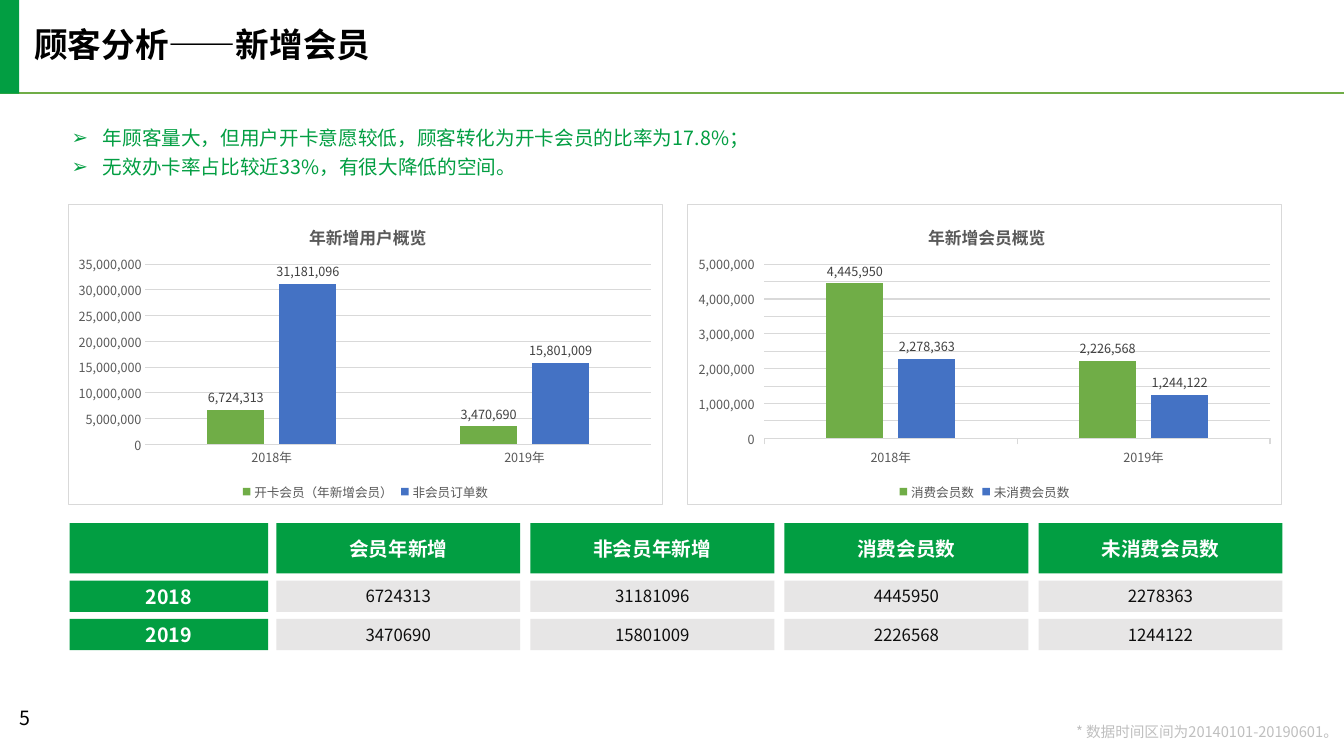
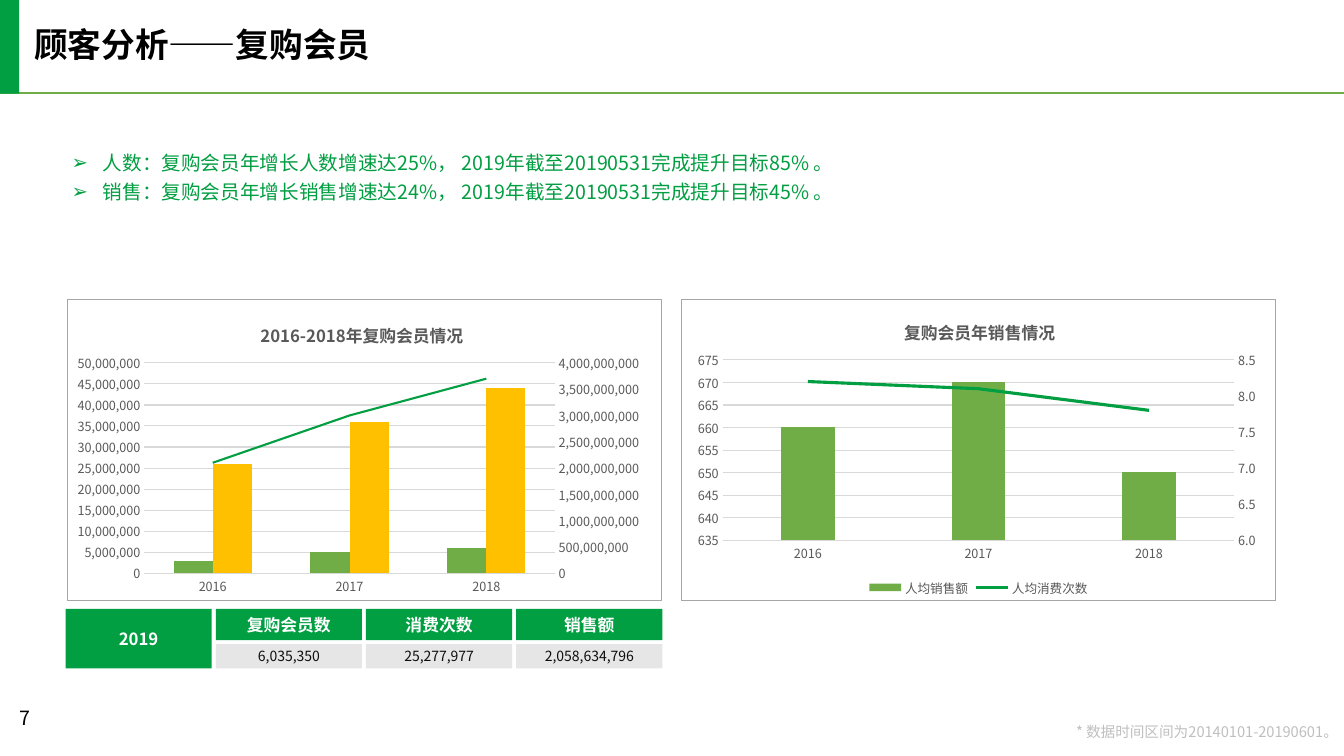
"""Build two customer analysis slides: new members and repeat members."""
from copy import deepcopy

from pptx import Presentation
from pptx.chart.axis import CategoryAxis, ValueAxis
from pptx.chart.data import CategoryChartData as Data
from pptx.dml.color import RGBColor as Rgb
from pptx.enum.chart import XL_CHART_TYPE as Kind
from pptx.enum.chart import XL_LABEL_POSITION as Spot
from pptx.enum.chart import XL_LEGEND_POSITION as Side
from pptx.enum.chart import XL_MARKER_STYLE as Mark
from pptx.enum.chart import XL_TICK_MARK as Tick
from pptx.enum.shapes import MSO_CONNECTOR as Line
from pptx.enum.shapes import MSO_SHAPE as Shape
from pptx.enum.text import MSO_ANCHOR as Anchor
from pptx.enum.text import MSO_AUTO_SIZE as Fit
from pptx.enum.text import PP_ALIGN as Align
from pptx.oxml import parse_xml
from pptx.oxml.ns import nsdecls, qn
from pptx.util import Pt

PX = 9144
FONT = "Noto Sans CJK SC"
HUES = {
    "green": "029E42", "leaf": "70AD47", "blue": "4472C4", "gold": "FFC000",
    "pale": "E7E6E6", "grid": "D9D9D9", "edge": "A6A6A6", "note": "BFBFBF",
    "axis": "595959", "label": "404040", "ink": "0D0D0D",
    "black": "000000", "white": "FFFFFF",
}
RGB = {name: Rgb.from_string(code) for name, code in HUES.items()}

PAGES = [
    {
        "title": "顾客分析——新增会员", "page": "5", "top": 120,
        "points": [
            "年顾客量大，但用户开卡意愿较低，顾客转化为开卡会员的比率为17.8%；",
            "无效办卡率占比较近33%，有很大降低的空间。",
        ],
        "charts": [
            {
                "title": "年新增用户概览", "at": (67, 202), "cats": ["2018年", "2019年"],
                "bars": [("开卡会员（年新增会员）", "leaf", (6724313, 3470690)),
                         ("非会员订单数", "blue", (31181096, 15801009))],
                "scale": (0, 35000000, 5000000), "fmt": "#,##0", "tick": Tick.NONE,
                "gap": (219, -27), "edge": "grid", "labels": True, "legend": True,
                "head": (0.4, 0.05), "area": (0.13, 0.2, 0.85, 0.6),
            },
            {
                "title": "年新增会员概览", "at": (681, 202), "cats": ["2018年", "2019年"],
                "bars": [("消费会员数", "leaf", (4445950, 2226568)),
                         ("未消费会员数", "blue", (2278363, 1244122))],
                "scale": (0, 5000000, 500000), "fmt": "#,##0", "tick": Tick.OUTSIDE,
                "gap": (219, -27), "edge": "grid", "labels": True, "legend": True,
                "head": (0.4, 0.05), "area": (0.13, 0.2, 0.85, 0.58),
            },
        ],
    },
    {
        "title": "顾客分析——复购会员", "page": "7", "top": 144,
        "points": [
            "人数：复购会员年增长人数增速达25%， 2019年截至20190531完成提升目标85% 。",
            "销售：复购会员年增长销售增速达24%， 2019年截至20190531完成提升目标45% 。",
        ],
        "charts": [
            {
                "title": "2016-2018年复购会员情况", "at": (66, 297),
                "cats": ["2016", "2017", "2018"],
                "bars": [("复购会员数", "leaf", (3000000, 5000000, 6000000)),
                         ("消费次数", "gold", (26000000, 36000000, 44000000))],
                "line": ("销售额", (2100000000, 3000000000, 3700000000), 1.5),
                "scale": (0, 50000000, 5000000), "fmt": "#,##0", "tick": Tick.NONE,
                "right": (0, 4000000000, 500000000), "mask": "#,##0",
                "gap": (150, 0), "edge": "edge", "labels": False, "legend": False,
                "head": (0.32, 0.06), "area": (0.13, 0.21, 0.69, 0.7),
            },
            {
                "title": "复购会员年销售情况", "at": (675, 297),
                "cats": ["2016", "2017", "2018"],
                "bars": [("人均销售额", "leaf", (660, 670, 650))],
                "line": ("人均消费次数", (8.2, 8.1, 7.8), 2.25),
                "scale": (635, 675, 5), "fmt": "0", "tick": Tick.NONE,
                "right": (6, 8.5, 0.5), "mask": "0.0",
                "gap": (219, -27), "edge": "edge", "labels": False, "legend": True,
                "head": (0.37, 0.05), "area": (0.07, 0.2, 0.86, 0.6),
            },
        ],
    },
]


def write(para, text, size, hue, bold=False):
    run = para.add_run()
    run.text = text
    font = run.font
    font.name, font.size, font.bold = FONT, Pt(size), bold
    font.color.rgb = RGB[hue]


def box(slide, area, fill, text="", size=12, hue="white", bold=False):
    rect = slide.shapes.add_shape(Shape.RECTANGLE, *[n * PX for n in area])
    rect.shadow.inherit = False
    rect.fill.solid()
    rect.fill.fore_color.rgb = RGB[fill]
    rect.line.fill.background()
    frame = rect.text_frame
    frame.margin_left = frame.margin_right = frame.margin_top = frame.margin_bottom = 0
    frame.vertical_anchor = Anchor.MIDDLE
    if text:
        frame.paragraphs[0].alignment = Align.CENTER
        write(frame.paragraphs[0], text, size, hue, bold)


deck = Presentation()
deck.slide_width, deck.slide_height = 1333 * PX, 750 * PX
slides, roots = [], []

for page in PAGES:
    slide = deck.slides.add_slide(deck.slide_layouts[1])
    slides.append(slide)
    roots.append(slide.element)

    rule = slide.shapes.add_connector(Line.STRAIGHT, 0, 92 * PX, 1333 * PX, 92 * PX)
    rule.line.color.rgb = RGB["leaf"]
    rule.line.width = Pt(1.5)
    rule.element.spPr.append(parse_xml(f"<a:effectLst {nsdecls('a')}/>"))
    box(slide, (0, 0, 19, 93), "green")

    title, body = slide.placeholders
    for holder, area in ((title, (34, 28, 629, 36)), (body, (71, page["top"], 1125, 76))):
        holder.left, holder.top, holder.width, holder.height = [n * PX for n in area]
    number = slide.shapes.add_textbox(19 * PX, 700 * PX, 80 * PX, 30 * PX)
    note = slide.shapes.add_textbox(1027 * PX, 719 * PX, 300 * PX, 16 * PX)
    for item, anchor in ((title, Anchor.MIDDLE), (body, Anchor.TOP),
                         (number, Anchor.TOP), (note, Anchor.MIDDLE)):
        frame = item.text_frame
        frame.word_wrap, frame.auto_size = True, Fit.NONE
        frame.margin_left = frame.margin_right = 0
        frame.margin_top = frame.margin_bottom = 0
        frame.vertical_anchor = anchor

    para = title.text_frame.paragraphs[0]
    para.alignment, para.line_spacing = Align.LEFT, 0.9
    write(para, page["title"], 24, "black", True)
    write(number.text_frame.paragraphs[0], page["page"], 14, "black")
    para = note.text_frame.paragraphs[0]
    para.alignment, para.line_spacing = Align.RIGHT, 0.9
    write(para, "* 数据时间区间为20140101-20190601。", 10.5, "note")

    for i, point in enumerate(page["points"]):
        frame = body.text_frame
        para = frame.add_paragraph() if i else frame.paragraphs[0]
        para.line_spacing, para.space_before = 1.23, Pt(0)
        props = para._p.get_or_add_pPr()
        props.set("marL", str(31 * PX))
        props.set("indent", str(-31 * PX))
        props.append(parse_xml(f'<a:buChar {nsdecls("a")} char="➢"/>'))
        write(para, point, 14, "green")

    for plan in page["charts"]:
        data = Data()
        data.categories = plan["cats"]
        for name, hue, vals in plan["bars"]:
            data.add_series(name, vals)
        if "line" in plan:
            name, vals, width = plan["line"]
            data.add_series(name, vals)
        area = (*plan["at"], 591, 299)
        chart = slide.shapes.add_chart(
            Kind.COLUMN_CLUSTERED, *[n * PX for n in area], data).chart
        roots.append(chart.element)
        chart.font.name, chart.font.size = FONT, Pt(9)
        chart.font.color.rgb = RGB["axis"]
        chart.has_title = True
        write(chart.chart_title.text_frame.paragraphs[0], plan["title"], 12, "axis", True)
        chart.has_legend = plan["legend"]
        if plan["legend"]:
            chart.legend.position = Side.BOTTOM
            chart.legend.include_in_layout = False

        cat, val = chart.category_axis, chart.value_axis
        for axis in (cat, val):
            axis.major_tick_mark, axis.minor_tick_mark = plan["tick"], Tick.NONE
            font = axis.tick_labels.font
            font.name, font.size = FONT, Pt(9)
            font.color.rgb = RGB["axis"]
        cat.format.line.color.rgb = RGB["grid"]
        val.format.line.fill.background()
        val.major_gridlines.format.line.color.rgb = RGB["grid"]
        val.major_gridlines.format.line.width = Pt(0.75)
        axes = [(val, plan["scale"], plan["fmt"])]

        plot = chart.plots[0]
        plot.vary_by_categories = False
        plot.gap_width, plot.overlap = plan["gap"]
        for series, (name, hue, vals) in zip(plot.series, plan["bars"]):
            series.format.fill.solid()
            series.format.fill.fore_color.rgb = RGB[hue]
        if plan["labels"]:
            plot.has_data_labels = True
            tags = plot.data_labels
            tags.show_value, tags.position = True, Spot.OUTSIDE_END
            tags.number_format, tags.number_format_is_linked = "#,##0", False
            tags.font.name, tags.font.size = FONT, Pt(9)
            tags.font.color.rgb = RGB["label"]

        zone = chart.element.find(".//" + qn("c:plotArea"))
        if "line" in plan:
            bars = zone.find(qn("c:barChart"))
            curve = parse_xml(
                f'<c:lineChart {nsdecls("c")}><c:grouping val="standard"/>'
                '<c:varyColors val="0"/><c:marker val="1"/>'
                '<c:axId val="501"/><c:axId val="502"/></c:lineChart>')
            last = bars.findall(qn("c:ser"))[-1]
            for flag in last.findall(qn("c:invertIfNegative")):
                last.remove(flag)
            curve.insert(2, last)
            bars.addnext(curve)
            base, right = deepcopy(cat._element), deepcopy(val._element)
            for axis, own, other in ((base, "501", "502"), (right, "502", "501")):
                axis.find(qn("c:axId")).set("val", own)
                axis.find(qn("c:crossAx")).set("val", other)
            right.find(qn("c:axPos")).set("val", "r")
            right.find(qn("c:crosses")).set("val", "max")
            val._element.addnext(right)
            right.addnext(base)
            CategoryAxis(base).visible = False
            second = ValueAxis(right)
            second.has_major_gridlines = False
            axes.append((second, plan["right"], plan["mask"]))
            trend = chart.plots[1].series[0]
            trend.smooth, trend.marker.style = False, Mark.NONE
            trend.format.line.color.rgb = RGB["green"]
            trend.format.line.width = Pt(width)

        for axis, (low, high, step), mask in axes:
            axis.minimum_scale, axis.maximum_scale, axis.major_unit = low, high, step
            axis.tick_labels.number_format = mask
            axis.tick_labels.number_format_is_linked = False

        for host, spot in ((chart.chart_title._element, plan["head"]), (zone, plan["area"])):
            for old in host.findall(qn("c:layout")):
                host.remove(old)
            modes = "".join(f'<c:{k}Mode val="edge"/>' for k in "xy")
            sizes = "".join(f'<c:{k} val="{v}"/>' for k, v in zip("xywh", spot))
            host.insert(len(host.findall(qn("c:tx"))), parse_xml(
                f'<c:layout {nsdecls("c")}><c:manualLayout><c:layoutTarget val="inner"/>'
                f"{modes}{sizes}</c:manualLayout></c:layout>"))
        chart.element.find(qn("c:txPr")).addprevious(parse_xml(
            f'<c:spPr {nsdecls("c", "a")}><a:solidFill><a:srgbClr val="{HUES["white"]}"/>'
            f'</a:solidFill><a:ln w="9525"><a:solidFill><a:srgbClr val="{HUES[plan["edge"]]}"/>'
            "</a:solidFill></a:ln></c:spPr>"))

fresh, repeat = slides
rows = [
    ("", "会员年新增", "非会员年新增", "消费会员数", "未消费会员数"),
    ("2018", "6724313", "31181096", "4445950", "2278363"),
    ("2019", "3470690", "15801009", "2226568", "1244122"),
]
for r, row in enumerate(rows):
    y, high = (538 + 38 * r, 31) if r else (519, 50)
    for c, text in enumerate(row):
        x, wide = (22 + 252 * c, 242) if c else (69, 197)
        if r and c:
            box(fresh, (x, y, wide, high), "pale", text, 12, "ink")
        else:
            box(fresh, (x, y, wide, high), "green", text, 14, "white", True)

box(repeat, (65, 604, 145, 59), "green", "2019", 12, "white", True)
totals = [("复购会员数", "6,035,350"), ("消费次数", "25,277,977"), ("销售额", "2,058,634,796")]
for c, (name, total) in enumerate(totals):
    x = 214 + 149 * c
    box(repeat, (x, 604, 145, 31), "green", name, 12, "white", True)
    box(repeat, (x, 639, 145, 24), "pale", total, 10, "ink")

for root in roots:
    for latin in list(root.iter(qn("a:latin"))):
        latin.addnext(parse_xml(f'<a:ea {nsdecls("a")} typeface="{FONT}"/>'))

deck.save("out.pptx")
